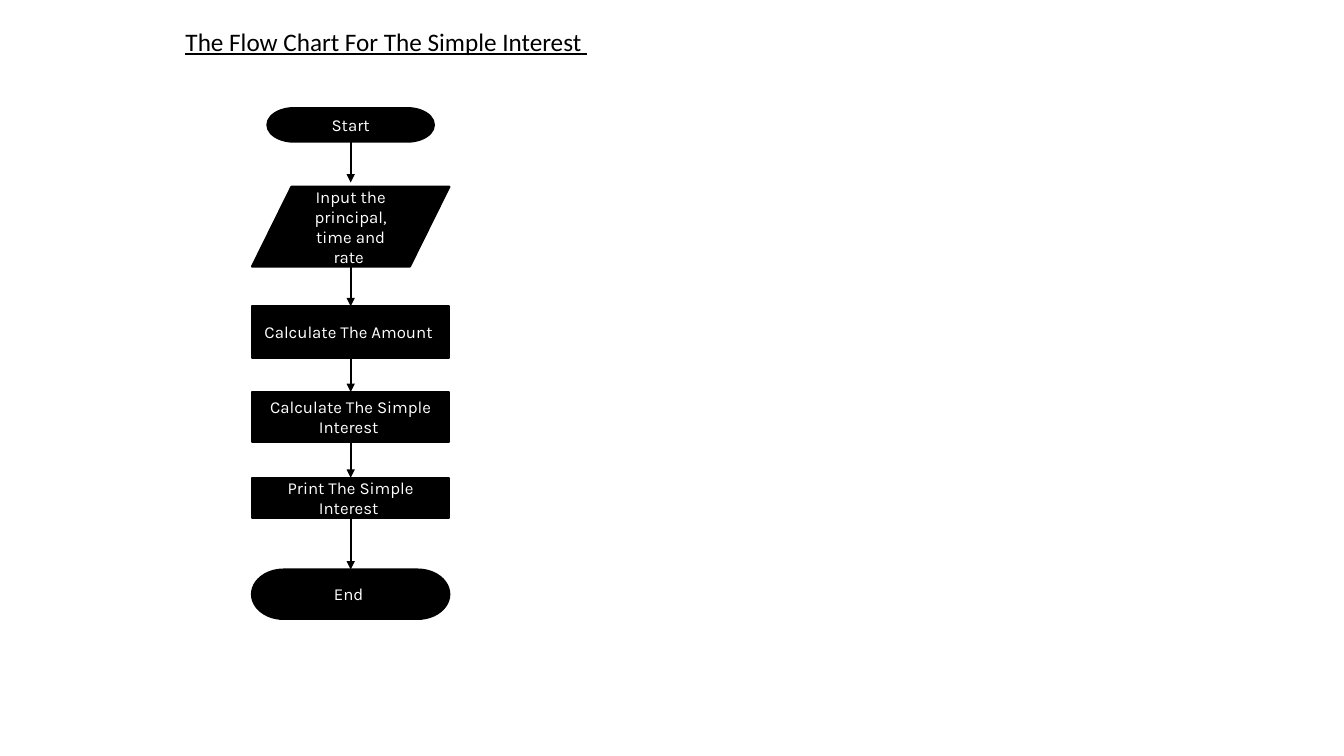
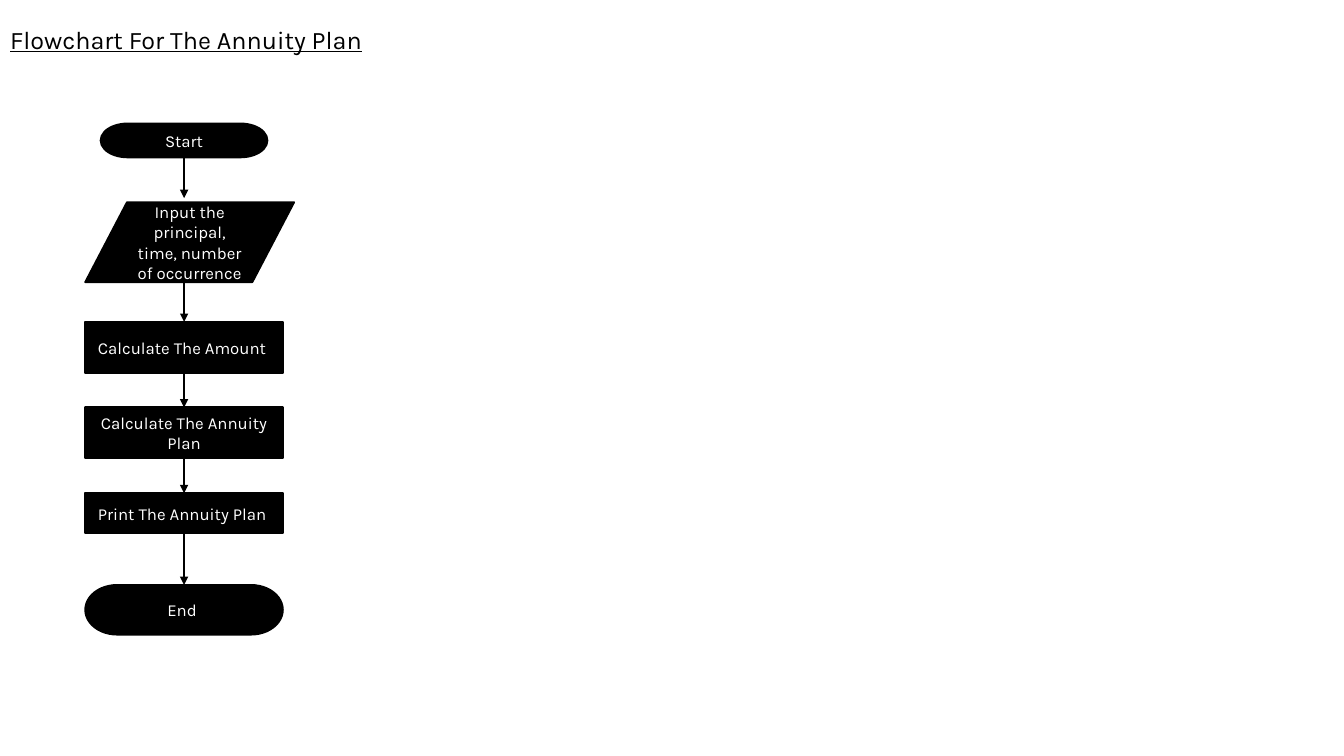
from dataclasses import dataclass

from lxml import etree
from pptx import Presentation
from pptx.dml.color import RGBColor
from pptx.enum.shapes import MSO_CONNECTOR, MSO_SHAPE
from pptx.enum.text import MSO_ANCHOR, MSO_AUTO_SIZE, PP_ALIGN
from pptx.oxml.ns import qn
from pptx.util import Pt

TERMINATOR = MSO_SHAPE.FLOWCHART_TERMINATOR
DATA = MSO_SHAPE.FLOWCHART_DATA
PROCESS = MSO_SHAPE.FLOWCHART_PROCESS
RECT = MSO_SHAPE.RECTANGLE
STRAIGHT = MSO_CONNECTOR.STRAIGHT
TOP, BOTTOM = 0, 2


@dataclass(frozen=True)
class Theme:
    ink: RGBColor = RGBColor(0, 0, 0)
    paper: RGBColor = RGBColor(255, 255, 255)
    body_font: str = "Karla"
    title_size: int = 18
    body_size: int = 12
    line: float = 1.5


THEME = Theme()
SLIDE_SIZE = (960, 540)
COLUMN_WIDTH = 141
ARROW_GAP = 3

STEPS = [
    (TERMINATOR, 0, 119, 24),
    (DATA, 56.2, COLUMN_WIDTH, 57),
    (PROCESS, 141.6, COLUMN_WIDTH, 36.7),
    (RECT, 202.8, COLUMN_WIDTH, 36),
    (RECT, 264, COLUMN_WIDTH, 28.8),
    (TERMINATOR, 329.6, COLUMN_WIDTH, 35.3),
]

CHARTS = [
    {
        "title": "The Flow Chart For The Simple Interest ",
        "title_font": "Calibri",
        "title_box": (125.3, 15.1, 370, 28.8),
        "origin": (180, 77.2),
        "data_width": COLUMN_WIDTH,
        "labels": [
            "Start",
            "Input the principal, time and rate ",
            "Calculate The Amount ",
            "Calculate The Simple Interest ",
            "Print The Simple Interest ",
            "End ",
        ],
    },
    {
        "title": "Flowchart For The Annuity Plan",
        "title_font": THEME.body_font,
        "title_box": (0, 13.7, 319, 28.8),
        "origin": (61, 88.3),
        "data_width": 149,
        "labels": [
            "Start",
            "Input the principal, time, number of occurrence ",
            "Calculate The Amount ",
            "Calculate The Annuity Plan",
            "Print The Annuity Plan ",
            "End ",
        ],
    },
]


def write(sp, text, align, anchor, color, **font):
    tf = sp.text_frame
    tf.word_wrap = True
    tf.auto_size = MSO_AUTO_SIZE.NONE
    tf.vertical_anchor = anchor
    p = tf.paragraphs[0]
    p.alignment = align
    r = p.add_run()
    r.text = text
    r.font.color.rgb = color
    for name, value in font.items():
        setattr(r.font, name, value)


def add_title(s, chart):
    sp = s.shapes.title
    sp.left, sp.top, sp.width, sp.height = map(Pt, chart["title_box"])
    write(sp, chart["title"], PP_ALIGN.LEFT, MSO_ANCHOR.TOP, THEME.ink,
          name=chart["title_font"], size=Pt(THEME.title_size), underline=True)


def add_step(s, kind, box, text):
    sp = s.shapes.add_shape(kind, *map(Pt, box))
    sp.shadow.inherit = False
    sp.fill.solid()
    sp.fill.fore_color.rgb = THEME.ink
    sp.line.color.rgb = THEME.ink
    sp.line.width = Pt(THEME.line)
    write(sp, text, PP_ALIGN.CENTER, MSO_ANCHOR.MIDDLE, THEME.paper,
          name=THEME.body_font, size=Pt(THEME.body_size))
    return sp


def add_arrow(s, center, upper, lower):
    end = lower.top
    if lower.auto_shape_type == DATA:
        end -= Pt(ARROW_GAP)
    cxn = s.shapes.add_connector(
        STRAIGHT, center, upper.top + upper.height, center, end)
    if upper.auto_shape_type != DATA:
        cxn.begin_connect(upper, BOTTOM)
    if lower.auto_shape_type != DATA:
        cxn.end_connect(lower, TOP)
    cxn.line.color.rgb = THEME.ink
    cxn.line.width = Pt(THEME.line)
    etree.SubElement(cxn.line._get_or_add_ln(), qn("a:tailEnd"), type="triangle")
    etree.SubElement(cxn._element.spPr, qn("a:effectLst"))


def add_flowchart(s, chart):
    left, top = chart["origin"]
    shapes = []
    for (kind, offset, width, height), text in zip(STEPS, chart["labels"]):
        x = left + (COLUMN_WIDTH - width) / 2
        if kind == DATA:
            width = chart["data_width"]
        shapes.append(add_step(s, kind, (x, top + offset, width, height), text))
    center = Pt(left + COLUMN_WIDTH / 2)
    for upper, lower in zip(shapes, shapes[1:]):
        add_arrow(s, center, upper, lower)


def main():
    prs = Presentation()
    prs.slide_width, prs.slide_height = map(Pt, SLIDE_SIZE)
    for chart in CHARTS:
        s = prs.slides.add_slide(prs.slide_layouts[5])
        add_title(s, chart)
        add_flowchart(s, chart)
    prs.save("out.pptx")


if __name__ == "__main__":
    main()
